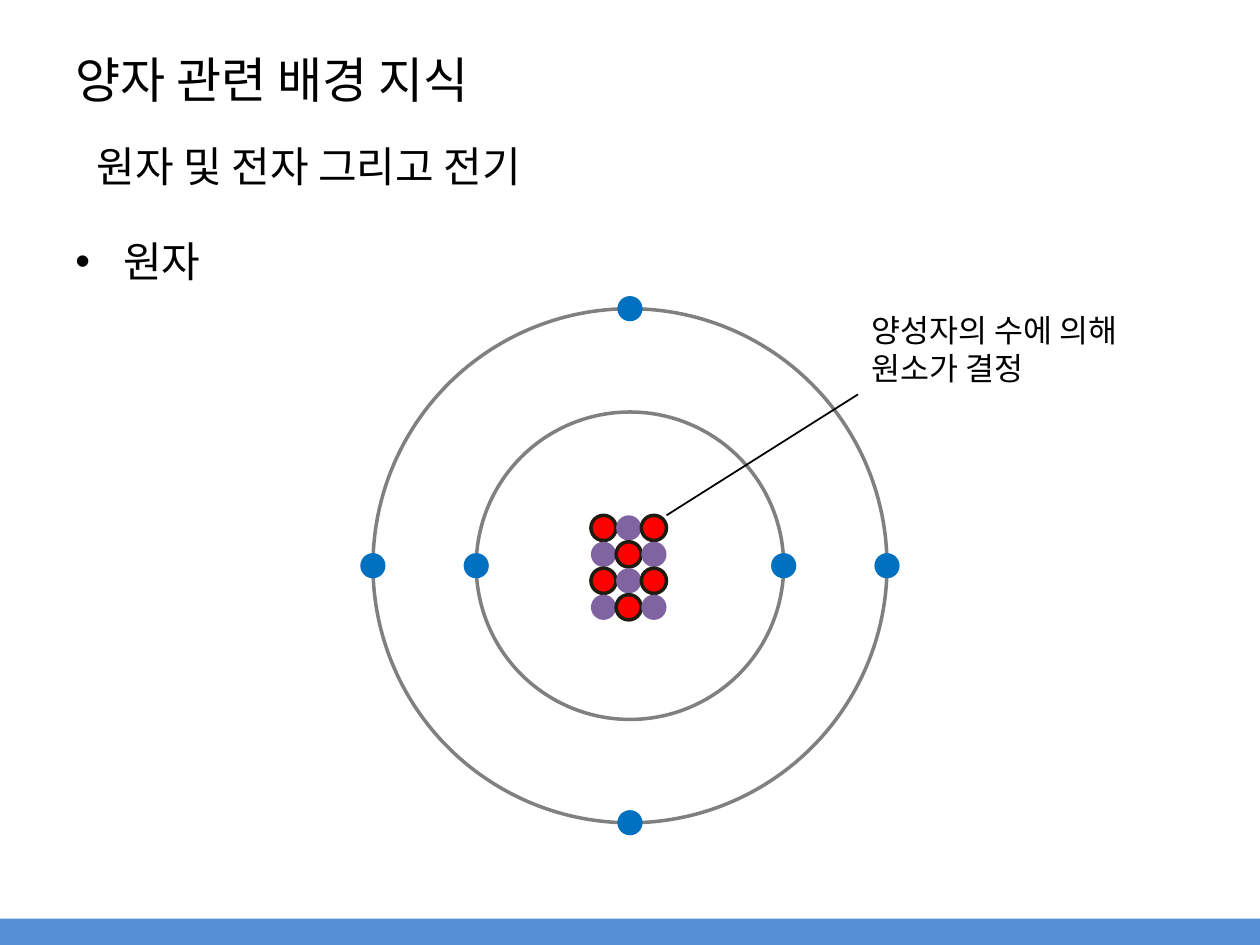
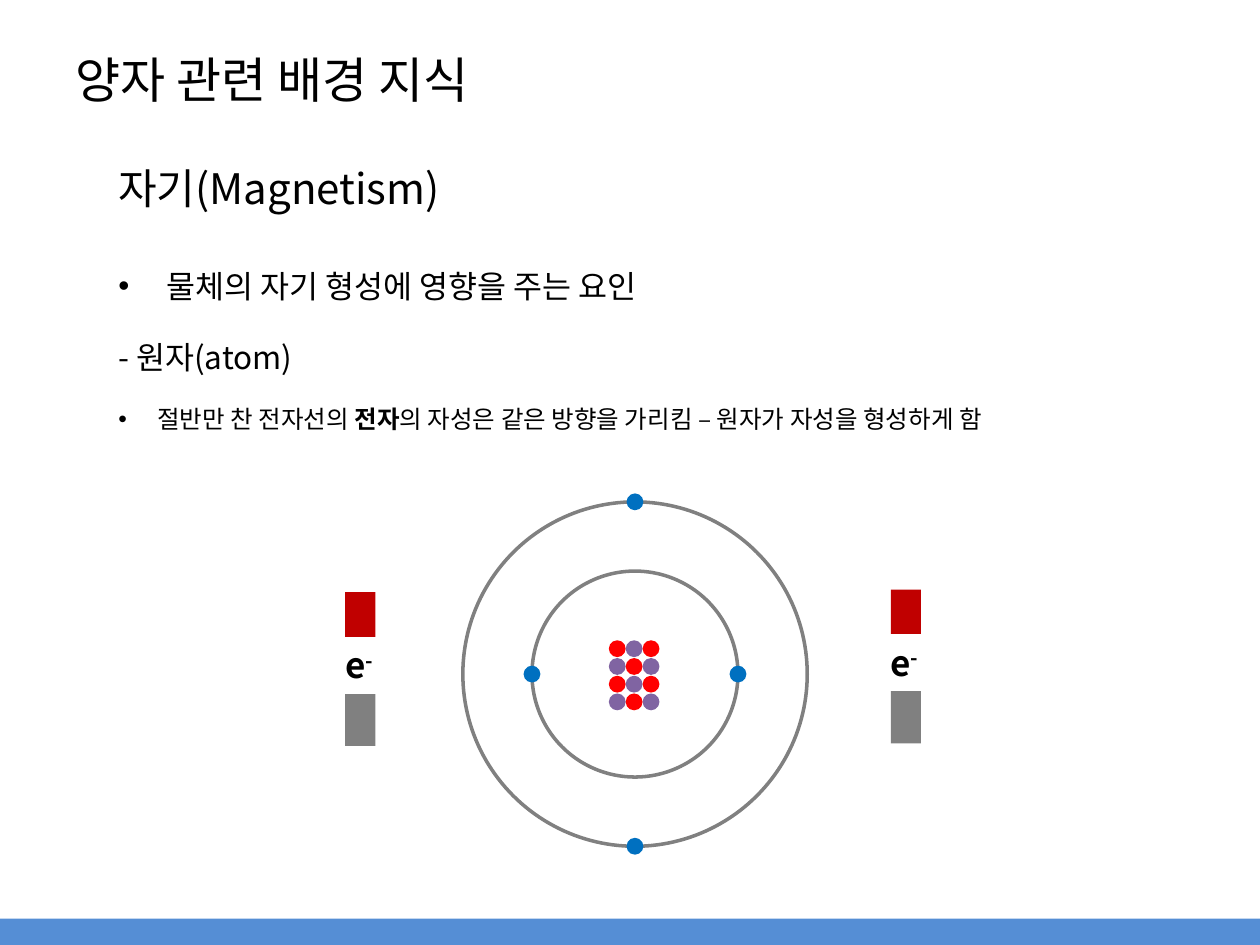
import pptx
import pptx.util
import pptx.dml.color
import pptx.enum.shapes
import pptx.enum.text
import pptx.oxml.ns
from lxml import etree

Inches = pptx.util.Inches
Pt = pptx.util.Pt
RGBColor = pptx.dml.color.RGBColor
SHAPE = pptx.enum.shapes.MSO_SHAPE
ANCHOR = pptx.enum.text.MSO_ANCHOR
qn = pptx.oxml.ns.qn

BLACK = RGBColor(0x00, 0x00, 0x00)
WHITE = RGBColor(0xFF, 0xFF, 0xFF)
BAND_BLUE = RGBColor(0x55, 0x8E, 0xD5)
PROTON_RED = RGBColor(0xFF, 0x00, 0x00)
PROTON_EDGE = RGBColor(0x1E, 0x1C, 0x11)
NEUTRON_PURPLE = RGBColor(0x80, 0x64, 0xA2)
ORBIT_GRAY = RGBColor(0x80, 0x80, 0x80)
ELECTRON_BLUE = RGBColor(0x00, 0x70, 0xC0)
NORTH_RED = RGBColor(0xC0, 0x00, 0x00)
FONT = "Noto Sans CJK KR"

INNER_RADIUS = 1.22
OUTER_RADIUS = 2.04
PARTICLE = 0.2
INNER_PAIR = [(-INNER_RADIUS, 0), (INNER_RADIUS, 0)]
OUTER_TOP_BOTTOM = [(0, -OUTER_RADIUS), (0, OUTER_RADIUS)]
OUTER_PAIR = [(-OUTER_RADIUS, 0), (OUTER_RADIUS, 0)]


class Deck:
    def __init__(self):
        self.prs = pptx.Presentation()
        self.prs.slide_width = Inches(10)
        self.prs.slide_height = Inches(7.5)
        self.s = None

    def add_slide(self, title):
        self.s = self.prs.slides.add_slide(self.prs.slide_layouts[6])
        self.text(0.5, 0, 9, 1.25, [title], 28, anchor=ANCHOR.MIDDLE)
        self.shape(self.s.shapes, SHAPE.RECTANGLE, 0, 7.29, 10, 0.21, BAND_BLUE)

    def style_run(self, r, size, bold=False):
        r.font.size = Pt(size)
        r.font.name = FONT
        r.font.bold = bold
        r.font.color.rgb = BLACK
        ea = etree.SubElement(r.font._element, qn("a:ea"))
        ea.set("typeface", FONT)

    def text(self, x, y, w, h, lines, size, anchor=ANCHOR.TOP, wrap=True):
        """Each line is a string or a list of strings whose odd members are bold."""
        tf = self.s.shapes.add_textbox(
            Inches(x), Inches(y), Inches(w), Inches(h)).text_frame
        tf.word_wrap = wrap
        tf.vertical_anchor = anchor
        for i, line in enumerate(lines):
            p = tf.paragraphs[0] if i == 0 else tf.add_paragraph()
            for j, part in enumerate([line] if isinstance(line, str) else line):
                r = p.add_run()
                r.text = part
                self.style_run(r, size, j % 2 == 1)
        return tf

    def bullet(self, p, indent, spacing=None):
        if spacing:
            p.line_spacing = spacing
        pPr = p._p.get_or_add_pPr()
        pPr.set("marL", str(Inches(indent)))
        pPr.set("indent", str(-Inches(indent)))
        etree.SubElement(pPr, qn("a:buFont")).set("typeface", "Arial")
        etree.SubElement(pPr, qn("a:buChar")).set("char", "•")

    def shape(self, shapes, kind, x, y, w, h, fill=None, line=None, width=2):
        sp = shapes.add_shape(kind, Inches(x), Inches(y), Inches(w), Inches(h))
        sp.shadow.inherit = False
        if fill is None:
            sp.fill.background()
        else:
            sp.fill.solid()
            sp.fill.fore_color.rgb = fill
        if line is None:
            sp.line.fill.background()
        else:
            sp.line.color.rgb = line
            sp.line.width = Pt(width)
        return sp

    def circle(self, shapes, cx, cy, radius, fill=None, line=None):
        self.shape(shapes, SHAPE.OVAL, cx - radius, cy - radius,
                   2 * radius, 2 * radius, fill, line)

    def line(self, x1, y1, x2, y2):
        c = self.s.shapes.add_connector(
            pptx.enum.shapes.MSO_CONNECTOR.STRAIGHT,
            Inches(x1), Inches(y1), Inches(x2), Inches(y2))
        c.line.color.rgb = BLACK
        c.line.width = Pt(1)
        etree.SubElement(c._element.spPr, qn("a:effectLst"))

    def atom(self, cx, cy, electrons, scale=1, proton_edge=None):
        """Nucleus of 3 by 4 alternating particles, two orbits, and electrons."""
        shapes = self.s.shapes.add_group_shape().shapes
        radius = PARTICLE / 2 * scale
        for row in range(4):
            for col in range(3):
                proton = (row + col) % 2 == 0
                self.circle(shapes, cx + (-0.21 + 0.2 * col) * scale,
                            cy + (-0.3 + 0.21 * row) * scale, radius,
                            PROTON_RED if proton else NEUTRON_PURPLE,
                            proton_edge if proton else None)
        for orbit in (INNER_RADIUS, OUTER_RADIUS):
            self.circle(shapes, cx, cy, orbit * scale, line=ORBIT_GRAY)
        for dx, dy in electrons:
            self.circle(shapes, cx + dx * scale, cy + dy * scale, radius,
                        ELECTRON_BLUE)

    def electron_magnet(self, x, y):
        shapes = self.s.shapes.add_group_shape().shapes
        for i, pole in enumerate((NORTH_RED, ORBIT_GRAY)):
            self.shape(shapes, SHAPE.RECTANGLE, x, y + 0.61 * i, 0.24, 0.61, pole)
        sp = self.shape(shapes, SHAPE.RECTANGLE, x - 0.1, y + 0.36, 0.43, 0.44,
                        WHITE, WHITE, 0.75)
        tf = sp.text_frame
        tf.word_wrap = False
        tf.vertical_anchor = ANCHOR.TOP
        p = tf.paragraphs[0]
        p.alignment = pptx.enum.text.PP_ALIGN.LEFT
        for part in ("e", "-"):
            r = p.add_run()
            r.text = part
            self.style_run(r, 20, True)
        r.font._element.set("baseline", "30000")


def add_atom_slide(deck):
    deck.add_slide("양자 관련 배경 지식")
    tf = deck.text(0.5, 1.7, 9, 0.72, ["원자"], 24)
    deck.bullet(tf.paragraphs[0], 0.38, 1.3)
    deck.text(0.67, 1.07, 4.09, 0.5, ["원자 및 전자 그리고 전기"], 24)
    deck.atom(5, 4.49, INNER_PAIR + OUTER_PAIR + OUTER_TOP_BOTTOM,
              proton_edge=PROTON_EDGE)
    deck.line(5.29, 4.09, 6.81, 3.13)
    deck.text(6.82, 2.42, 2.4, 0.71, ["양성자의 수에 의해", "원소가 결정"], 18,
              wrap=False)


def add_magnetism_slide(deck):
    deck.add_slide("양자 관련 배경 지식")
    tf = deck.text(0.84, 2.07, 8.89, 0.98,
                   ["물체의 자기 형성에 영향을 주는 요인", "- 원자(atom)"], 18)
    deck.bullet(tf.paragraphs[0], 0.38)
    tf.paragraphs[1].space_before = Pt(19)
    deck.text(0.84, 1.24, 3.14, 0.5, ["자기(Magnetism)"], 24)
    tf = deck.text(0.84, 3.04, 8.42, 0.45, [[
        "절반만 찬 전자선의 ", "전자",
        "의 자성은 같은 방향을 가리킴 – 원자가 자성을 형성하게 함"]], 14)
    deck.bullet(tf.paragraphs[0], 0.31, 1.5)
    deck.atom(5.04, 5.35, INNER_PAIR + OUTER_TOP_BOTTOM, scale=0.67)
    deck.electron_magnet(2.74, 4.7)
    deck.electron_magnet(7.07, 4.68)


def main():
    deck = Deck()
    add_atom_slide(deck)
    add_magnetism_slide(deck)
    deck.prs.save("out.pptx")


if __name__ == "__main__":
    main()
